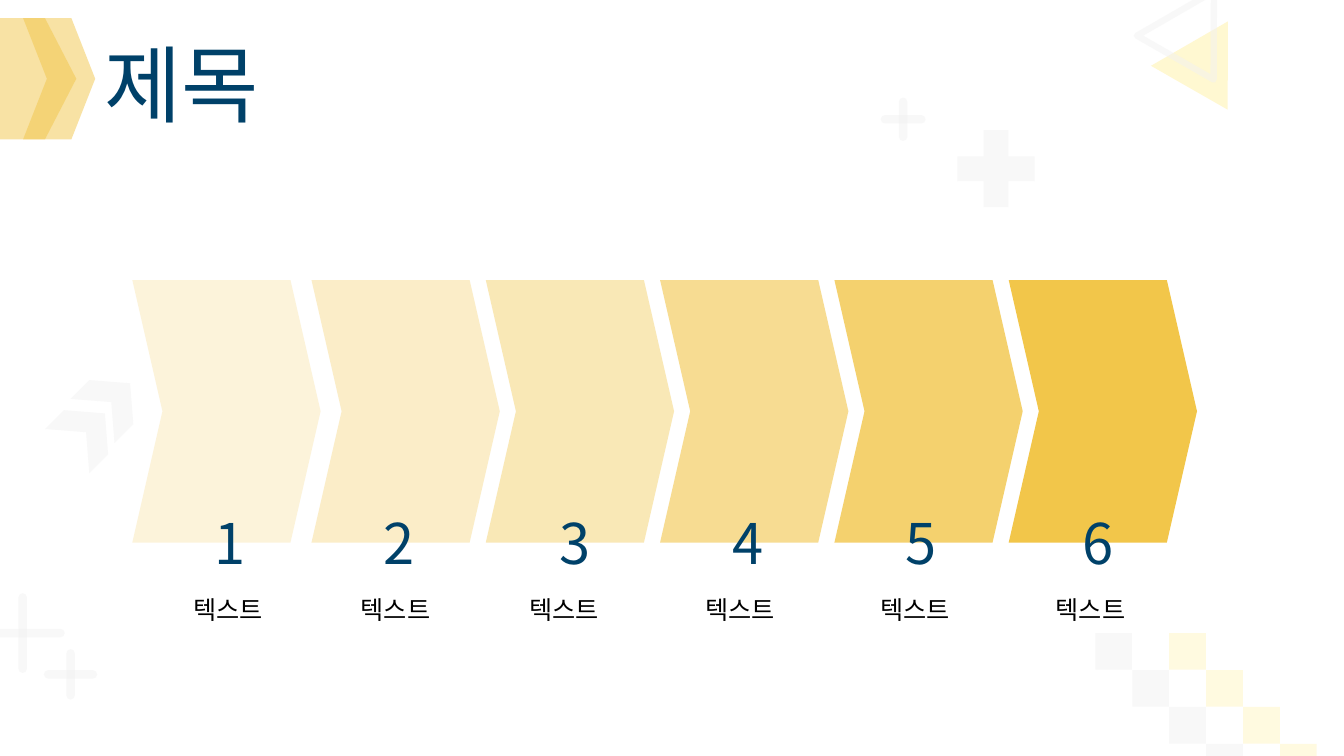
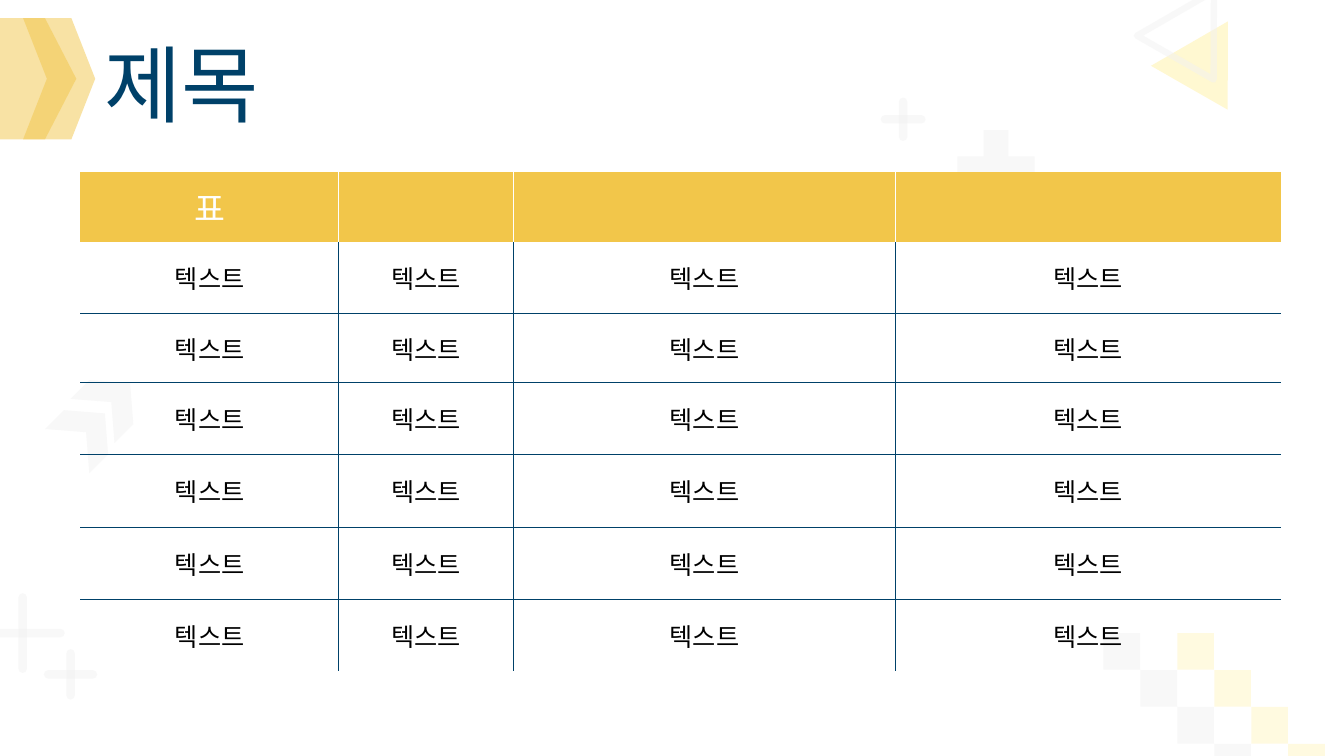
"""Build a two-slide deck: a six-step chevron process and a ruled table."""
from dataclasses import dataclass
from itertools import pairwise
from typing import NamedTuple

from lxml import etree
from pptx import Presentation
from pptx import util as u
from pptx.dml import color
from pptx.enum import shapes, text
from pptx.oxml import ns


@dataclass(frozen=True)
class Theme:
    font: str = "Noto Sans CJK KR"
    navy: str = "004169"
    gold: str = "F2C64A"
    lemon: str = "FFE767"
    cream: str = "FFF8D1"
    grey: str = "F2F2F2"
    white: str = "FFFFFF"
    black: str = "000000"
    title_size: float = 60
    number_size: float = 40
    header_size: float = 24
    body_size: float = 18
    cross_weight: float = 6
    rule_weight: float = 0.75


class Box(NamedTuple):
    left: float
    top: float
    width: float
    height: float


class Cross(NamedTuple):
    x: float
    y: float
    width: float
    height: float


class Step(NamedTuple):
    left: float
    number_x: float
    label_x: float
    opacity: int


THEME = Theme()
SHAPE = shapes.MSO_SHAPE
TITLE = "제목"
LABEL = "텍스트"
NO_STYLE = "{2D5ABB26-0587-4C30-8999-92F81FD0307C}"

CROSSES = (
    Cross(16.2, 452.2, 54, 51),
    Cross(50.4, 481.7, 32, 30),
    Cross(645.1, 85.2, 26, 25),
)
STEPS = (
    Step(94.5, 164, 163, 20),
    Step(222.5, 285, 282.5, 30),
    Step(347, 410.5, 403, 40),
    Step(471.5, 534.5, 528.5, 60),
    Step(596, 658, 653.5, 80),
    Step(720.5, 784, 779, 100),
)
COLUMN_EDGES = (57.5, 242, 367, 639.5, 915)
ROW_EDGES = (122.5, 173, 224, 273.5, 324.5, 376.5, 428.5, 479.5)
HEADERS = ("표", "", "", "")


def points(values) -> list:
    return [u.Pt(value) for value in values]


def rgb(value: str) -> color.RGBColor:
    return color.RGBColor.from_string(value)


def set_opacity(shape, percent: int) -> None:
    if percent < 100:
        for node in shape._element.spPr.iter(ns.qn("a:srgbClr")):
            etree.SubElement(node, ns.qn("a:alpha"), val=str(percent * 1000))


def write(frame, content: str, *, size: float, ink: str = THEME.black,
          align=text.PP_ALIGN.CENTER) -> None:
    paragraph = frame.paragraphs[0]
    paragraph.alignment = align
    run = paragraph.add_run()
    run.text = content
    run.font.size = u.Pt(size)
    run.font.name = THEME.font
    run.font.color.rgb = rgb(ink)
    etree.SubElement(run._r.get_or_add_rPr(), ns.qn("a:ea"), typeface=THEME.font)


def add_text(slide, box: Box, content: str, *, wrap: bool = False, **style) -> None:
    frame = slide.shapes.add_textbox(*points(box)).text_frame
    frame.word_wrap = wrap
    frame.auto_size = text.MSO_AUTO_SIZE.SHAPE_TO_FIT_TEXT
    write(frame, content, **style)


def add_figure(slide, kind, box: Box, *, fill: str | None = None, line: str | None = None,
               weight: float = 4.5, opacity: int = 100, rotation: float = 0,
               adjust: float | None = None) -> None:
    shape = slide.shapes.add_shape(kind, *points(box))
    shape.shadow.inherit = False
    shape.rotation = rotation
    if adjust is not None:
        shape.adjustments[0] = adjust
    if fill:
        shape.fill.solid()
        shape.fill.fore_color.rgb = rgb(fill)
    else:
        shape.fill.background()
    if line:
        shape.line.color.rgb = rgb(line)
        shape.line.width = u.Pt(weight)
    else:
        shape.line.fill.background()
    set_opacity(shape, opacity)


def add_stroke(slide, *ends: float) -> None:
    connector = slide.shapes.add_connector(shapes.MSO_CONNECTOR.STRAIGHT, *points(ends))
    connector.line.color.rgb = rgb(THEME.grey)
    connector.line.width = u.Pt(THEME.cross_weight)
    connector.line._get_or_add_ln().set("cap", "rnd")
    set_opacity(connector, 50)
    etree.SubElement(connector._element.spPr, ns.qn("a:effectLst"))


def add_checker(slide, left: float) -> None:
    size, pitch, top = 26.2, 26.4, 452.2
    for offset, fill, opacity in ((2, THEME.lemon, 20), (0, THEME.grey, 50)):
        for index in range(4):
            box = Box(left + (offset + index) * pitch, top + index * pitch, size, size)
            add_figure(slide, SHAPE.RECTANGLE, box, fill=fill, opacity=opacity)


def add_decoration(slide, checker_left: float) -> None:
    add_checker(slide, checker_left)
    for x, y, width, height in CROSSES:
        add_stroke(slide, x - width / 2, y, x + width / 2, y)
        add_stroke(slide, x, y + height / 2, x, y - height / 2)
    add_figure(slide, SHAPE.ISOSCELES_TRIANGLE, Box(831.5, 27.5, 63.5, 54.5),
               fill=THEME.cream, rotation=150)
    add_figure(slide, SHAPE.ISOSCELES_TRIANGLE, Box(821.5, 6, 63.5, 54.5),
               line=THEME.grey, opacity=50, rotation=150)
    add_figure(slide, SHAPE.MATH_PLUS, Box(674, 83, 75, 75), fill=THEME.grey, opacity=50)
    for left, top in ((42.5, 286.5), (60.5, 265)):
        add_figure(slide, SHAPE.CHEVRON, Box(left, top, 38, 44.5),
                   fill=THEME.grey, opacity=50, rotation=315)


def add_title(slide, content: str) -> None:
    add_figure(slide, SHAPE.CHEVRON, Box(16.5, 13, 51.5, 86.5),
               fill=THEME.gold, opacity=50, adjust=0.33)
    add_figure(slide, SHAPE.PENTAGON, Box(0, 13, 54.5, 86.5),
               fill=THEME.gold, opacity=50, adjust=0.41)
    add_text(slide, Box(67.5, 19.5, 131, 80), content, size=THEME.title_size,
             ink=THEME.navy, align=text.PP_ALIGN.LEFT)


def new_slide(presentation, title: str, checker_left: float):
    slide = presentation.slides.add_slide(presentation.slide_layouts[6])
    add_decoration(slide, checker_left)
    add_title(slide, title)
    return slide


def add_process(slide) -> None:
    for number, step in enumerate(STEPS, start=1):
        add_figure(slide, SHAPE.CHEVRON, Box(step.left, 200, 134.5, 187.5),
                   fill=THEME.gold, opacity=step.opacity, adjust=0.16)
        add_text(slide, Box(step.number_x - 21, 359.5, 42, 55.5), str(number),
                 size=THEME.number_size, ink=THEME.navy)
        add_text(slide, Box(step.label_x - 56, 421, 112, 29), LABEL,
                 wrap=True, size=THEME.body_size)


def set_borders(cell, **colors: str | None) -> None:
    properties = cell._tc.get_or_add_tcPr()
    for index, side in enumerate("LRTB"):
        line = etree.Element(ns.qn(f"a:ln{side}"), w=str(u.Pt(THEME.rule_weight)))
        ink = colors.get(side)
        if ink:
            fill = etree.SubElement(line, ns.qn("a:solidFill"))
            etree.SubElement(fill, ns.qn("a:srgbClr"), val=ink)
        else:
            etree.SubElement(line, ns.qn("a:noFill"))
        properties.insert(index, line)


def add_ruled_table(slide) -> None:
    widths = [right - left for left, right in pairwise(COLUMN_EDGES)]
    heights = [bottom - top for top, bottom in pairwise(ROW_EDGES)]
    box = Box(COLUMN_EDGES[0], ROW_EDGES[0], sum(widths), sum(heights))
    table = slide.shapes.add_table(len(heights), len(widths), *points(box)).table
    table.horz_banding = False
    table._tbl.tblPr.find(ns.qn("a:tableStyleId")).text = NO_STYLE
    for column, width in zip(table.columns, widths):
        column.width = u.Pt(width)
    for row_index, (row, height) in enumerate(zip(table.rows, heights)):
        row.height = u.Pt(height)
        header = row_index == 0
        rule = THEME.white if header else THEME.navy
        for column_index, cell in enumerate(row.cells):
            cell.vertical_anchor = text.MSO_ANCHOR.MIDDLE
            if header:
                cell.fill.solid()
                cell.fill.fore_color.rgb = rgb(THEME.gold)
            else:
                cell.fill.background()
            set_borders(
                cell,
                L=rule if column_index > 0 else None,
                R=rule if column_index < len(widths) - 1 else None,
                T=rule if row_index > 1 else None,
                B=rule if 0 < row_index < len(heights) - 1 else None,
            )
            content = HEADERS[column_index] if header else LABEL
            if content:
                write(cell.text_frame, content,
                      size=THEME.header_size if header else THEME.body_size,
                      ink=THEME.white if header else THEME.black)


def main() -> None:
    presentation = Presentation()
    presentation.slide_width = u.Pt(960)
    presentation.slide_height = u.Pt(540)
    add_process(new_slide(presentation, TITLE, checker_left=782.4))
    add_ruled_table(new_slide(presentation, TITLE, checker_left=788.2))
    presentation.save("out.pptx")


if __name__ == "__main__":
    main()
